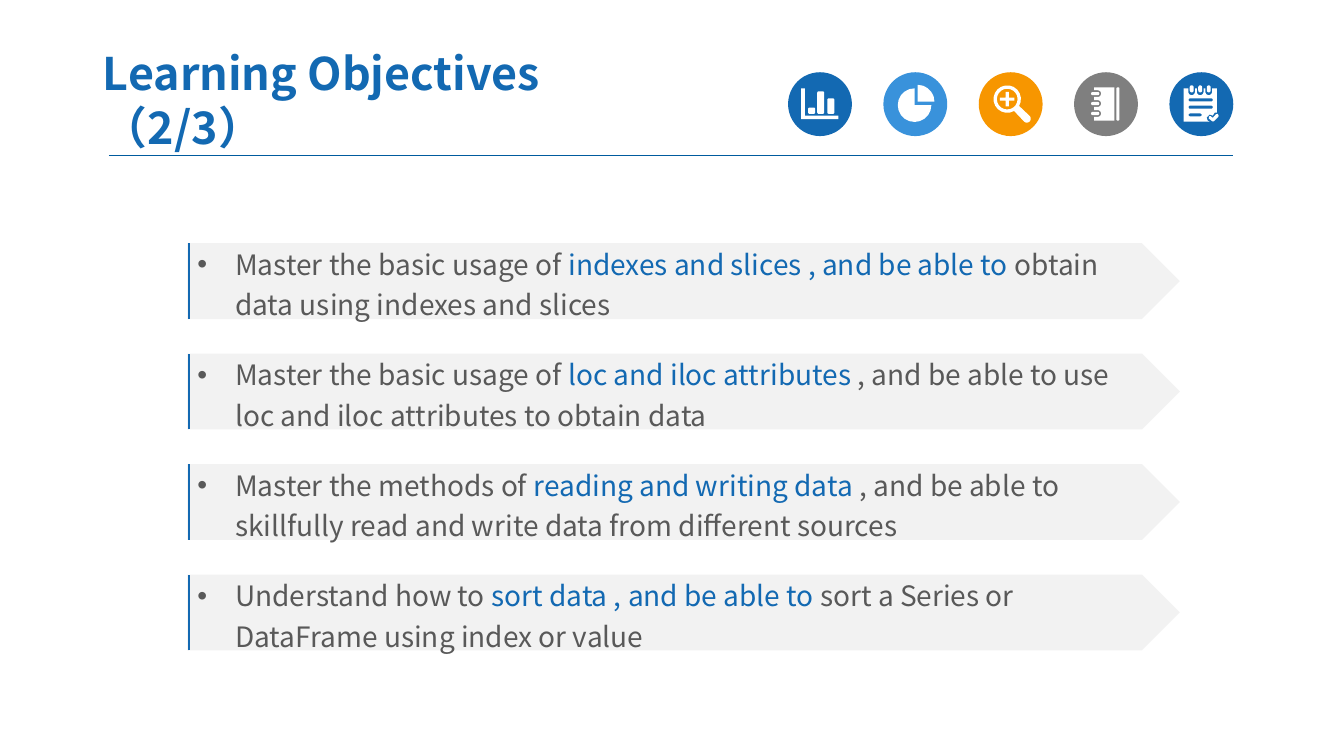
from math import cos, radians, sin

from lxml import etree
from pptx import Presentation
from pptx.dml.color import RGBColor
from pptx.enum.shapes import MSO_CONNECTOR, MSO_SHAPE
from pptx.enum.text import MSO_ANCHOR, MSO_AUTO_SIZE, PP_ALIGN
from pptx.oxml.ns import qn
from pptx.util import Pt

THEME = {
    "font": "Noto Sans CJK SC", "title_size": 32, "body_size": 20,
    "blue": "1369B2", "sky": "3992DB", "orange": "F79600", "gray": "7F7F7F",
    "white": "FFFFFF", "panel": "F2F2F2", "text": "595959", "rule": "005B9E",
}

presentation = Presentation()
presentation.slide_width, presentation.slide_height = Pt(960), Pt(540)
slide = presentation.slides.add_slide(presentation.slide_layouts[6])
filled_shapes = []


def arc(x, y, radius, start, end):
    """Points on an arc, angles in degrees clockwise from the right."""
    steps = max(3, round(abs(end - start) / 18))
    angles = [radians(start + (end - start) * step / steps) for step in range(steps + 1)]
    return [(x + radius * cos(angle), y + radius * sin(angle)) for angle in angles]


def bar(left, top, width, height, radius=1):
    """Points of a rectangle with round corners."""
    right, bottom = left + width - radius, top + height - radius
    left, top = left + radius, top + radius
    return (arc(left, top, radius, 180, 270) + arc(right, top, radius, 270, 360)
            + arc(right, bottom, radius, 0, 90) + arc(left, bottom, radius, 90, 180))


# Header rule
rule = slide.shapes.add_connector(
    MSO_CONNECTOR.STRAIGHT, Pt(77.8), Pt(111.4), Pt(880.6), Pt(111.4))
rule.line.color.rgb = RGBColor.from_string(THEME["rule"])
rule.line.width = Pt(0.75)
etree.SubElement(rule._element.spPr, qn("a:effectLst"))

# Icon outlines, in points from the corner of their disc
chart = [
    [(9.4, 11.5), (12.1, 11.5), (12.1, 31), (36, 31), (36, 33.4), (9.4, 33.4)],
    bar(14.4, 25.2, 5, 4.5), bar(20.9, 13.7, 5, 16), bar(28.1, 18.7, 5, 11),
]
pie = [arc(22.3, 23.5, 12, 0, 270) + [(22.3, 23.5)],
       arc(24.5, 21, 12, 270, 360) + [(24.5, 21)]]
plus = [(-5.2, -1.1), (-1.1, -1.1), (-1.1, -5.2), (1.1, -5.2), (1.1, -1.1), (5.2, -1.1),
        (5.2, 1.1), (1.1, 1.1), (1.1, 5.2), (-1.1, 5.2), (-1.1, 1.1), (-5.2, 1.1)]
magnifier = [
    arc(20.4, 19.2, 9.8, 60, 390) + arc(34.4, 33.2, 2.8, -45, 135),
    arc(20.4, 19.2, 7.4, 0, 360),
    [(20.4 + x, 19.2 + y) for x, y in plus],
]
cover = [(28.8, 10.8), (28.8, 34.6), (14.4, 34.6)]
notebook = [bar(30.2, 10.8, 2.2, 23.8)]
for middle in (29.5, 22.4, 15.3):
    cover += [(14.4, middle + 2.4), *arc(16.9, middle, 2.4, 90, -90), (14.4, middle - 2.4)]
    notebook.append(bar(12.2, middle - 1.1, 5.8, 2.2))
notebook.append(cover + [(14.4, 10.8)])
page = [(10.1, 11.5)]
notepad = [bar(13.7, 18.7, 17.3, 2.2), bar(13.7, 23.9, 17.3, 2.2), bar(13.7, 29.5, 9.4, 2)]
for middle in (15.9, 22, 28.1):
    page += [(middle - 2.4, 11.5), *arc(middle, 14, 2.4, 180, 0), (middle + 2.4, 11.5)]
    notepad.append(bar(middle - 1.4, 9.4, 2.8, 5, 1.4))
page += [(33.9, 11.5), (33.9, 28.8), (32.4, 28.8), (31, 31), (28.8, 30.2),
         (26.6, 32.4), (27.4, 34.6), (28.8, 35.3), (10.1, 35.3)]
check = [(35.2, 31), (34.9, 31.9), (31.7, 35.2), (30.7, 35.2), (28.1, 33),
         (28.3, 31.5), (29.5, 31.4), (31, 32.6), (33.3, 30), (34.6, 29.8)]
notepad = [page, check] + notepad

# Header icons
icons = [("blue", chart), ("sky", pie), ("orange", magnifier),
         ("gray", notebook), ("blue", notepad)]
for index, (color, outlines) in enumerate(icons):
    left, top = 562.9 + 68.1 * index, 51.6
    disc = slide.shapes.add_shape(MSO_SHAPE.OVAL, Pt(left), Pt(top), Pt(45.6), Pt(45.6))
    placed = [[(Pt(left + x), Pt(top + y)) for x, y in outline] for outline in outlines]
    builder = slide.shapes.build_freeform(*placed[0][0])
    builder.add_line_segments(placed[0][1:])
    for outline in placed[1:]:
        builder.move_to(*outline[0])
        builder.add_line_segments(outline[1:])
    filled_shapes += [(disc, color), (builder.convert_to_shape(), "white")]

# Objectives: plain words, highlighted words, plain words
objectives = [
    ("Master the basic usage of ", "indexes and slices , and be able to ",
     "obtain data using indexes and slices"),
    ("Master the basic usage of ", "loc and iloc attributes ",
     ", and be able to use loc and iloc attributes to obtain data"),
    ("Master the methods of ", "reading and writing data ",
     ", and be able to skillfully read and write data from different sources"),
    ("Understand how to ", "sort data , and be able to ",
     "sort a Series or DataFrame using index or value"),
]
body_format = {"name": THEME["font"], "size": Pt(THEME["body_size"])}
for index, phrases in enumerate(objectives):
    top, height = 173.7 + 78.9 * index, 54.2
    panel = slide.shapes.add_shape(
        MSO_SHAPE.PENTAGON, Pt(133.9), Pt(top), Pt(708.8), Pt(height))
    filled_shapes.append((panel, "panel"))
    frame = panel.text_frame
    frame.word_wrap = True
    frame.vertical_anchor = MSO_ANCHOR.MIDDLE
    paragraph = frame.paragraphs[0]
    paragraph.alignment = PP_ALIGN.LEFT
    paragraph.line_spacing = 1.2
    properties = paragraph._p.get_or_add_pPr()
    properties.set("marL", str(Pt(27)))
    properties.set("indent", str(Pt(-27)))
    etree.SubElement(properties, qn("a:buFont")).set("typeface", "Arial")
    etree.SubElement(properties, qn("a:buChar")).set("char", "•")
    for phrase, color in zip(phrases, ("text", "blue", "text")):
        run = paragraph.add_run()
        run.text = phrase
        for name, value in body_format.items():
            setattr(run.font, name, value)
        run.font.color.rgb = RGBColor.from_string(THEME[color])

    # Edge stroke; the last move sets the width of its frame
    builder = slide.shapes.build_freeform(Pt(134.8), Pt(top + height))
    builder.add_line_segments([(Pt(134.8), Pt(top))], close=False)
    builder.move_to(Pt(145.6), Pt(top))
    edge = builder.convert_to_shape()
    edge.shadow.inherit = False
    edge.fill.background()
    edge.line.color.rgb = RGBColor.from_string(THEME["blue"])
    edge.line.width = Pt(1.5)

# Flat fills
for shape, color in filled_shapes:
    shape.shadow.inherit = False
    shape.fill.solid()
    shape.fill.fore_color.rgb = RGBColor.from_string(THEME[color])
    shape.line.fill.background()

# Title, with a right margin that sends the page count to the second line
title = slide.shapes.add_textbox(Pt(64.1), Pt(45.4), Pt(466.6), Pt(51.8))
frame = title.text_frame
frame_format = {"word_wrap": True, "auto_size": MSO_AUTO_SIZE.NONE,
                "vertical_anchor": MSO_ANCHOR.MIDDLE,
                "margin_left": Pt(9.4), "margin_right": Pt(60),
                "margin_top": Pt(5), "margin_bottom": Pt(5)}
for name, value in frame_format.items():
    setattr(frame, name, value)
run = frame.paragraphs[0].add_run()
run.text = "Learning Objectives（2/3）"
title_format = {"name": THEME["font"], "size": Pt(THEME["title_size"]), "bold": True}
for name, value in title_format.items():
    setattr(run.font, name, value)
run.font.color.rgb = RGBColor.from_string(THEME["blue"])
etree.SubElement(run.font._element, qn("a:ea")).set("typeface", THEME["font"])

presentation.save("out.pptx")
